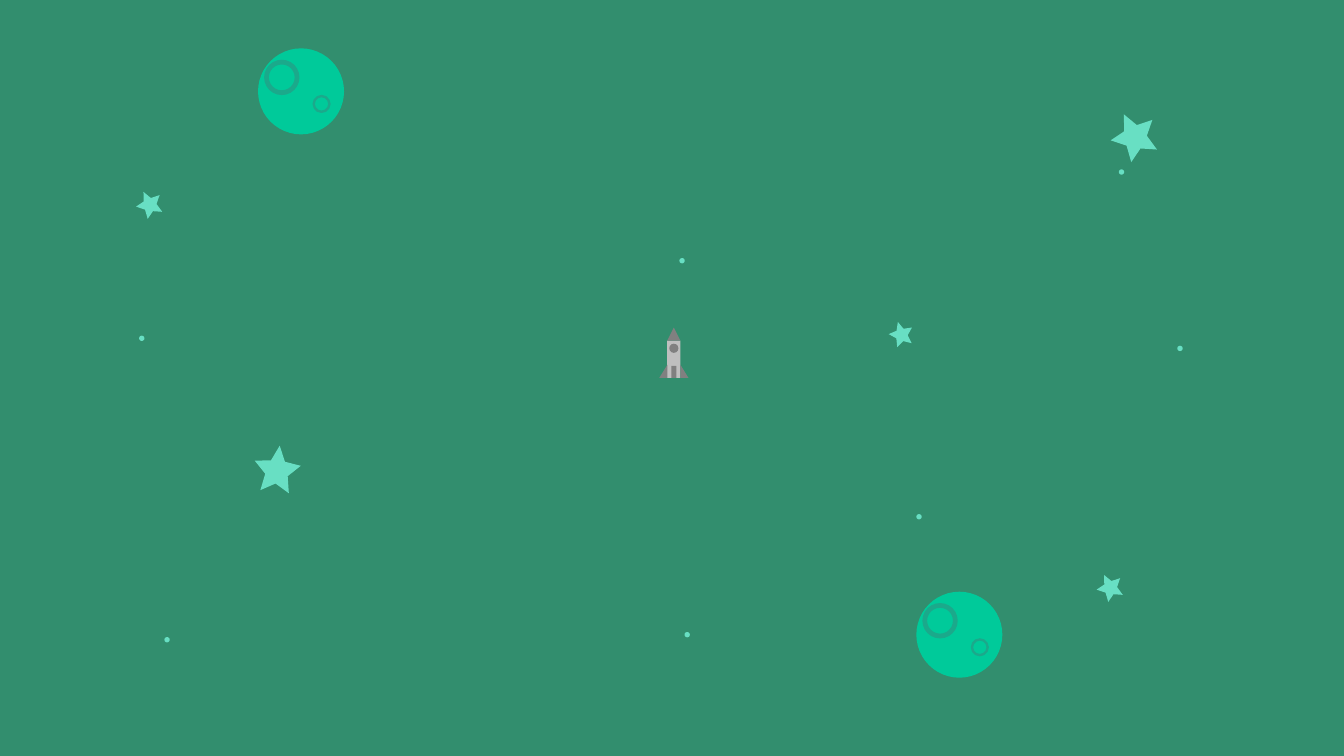
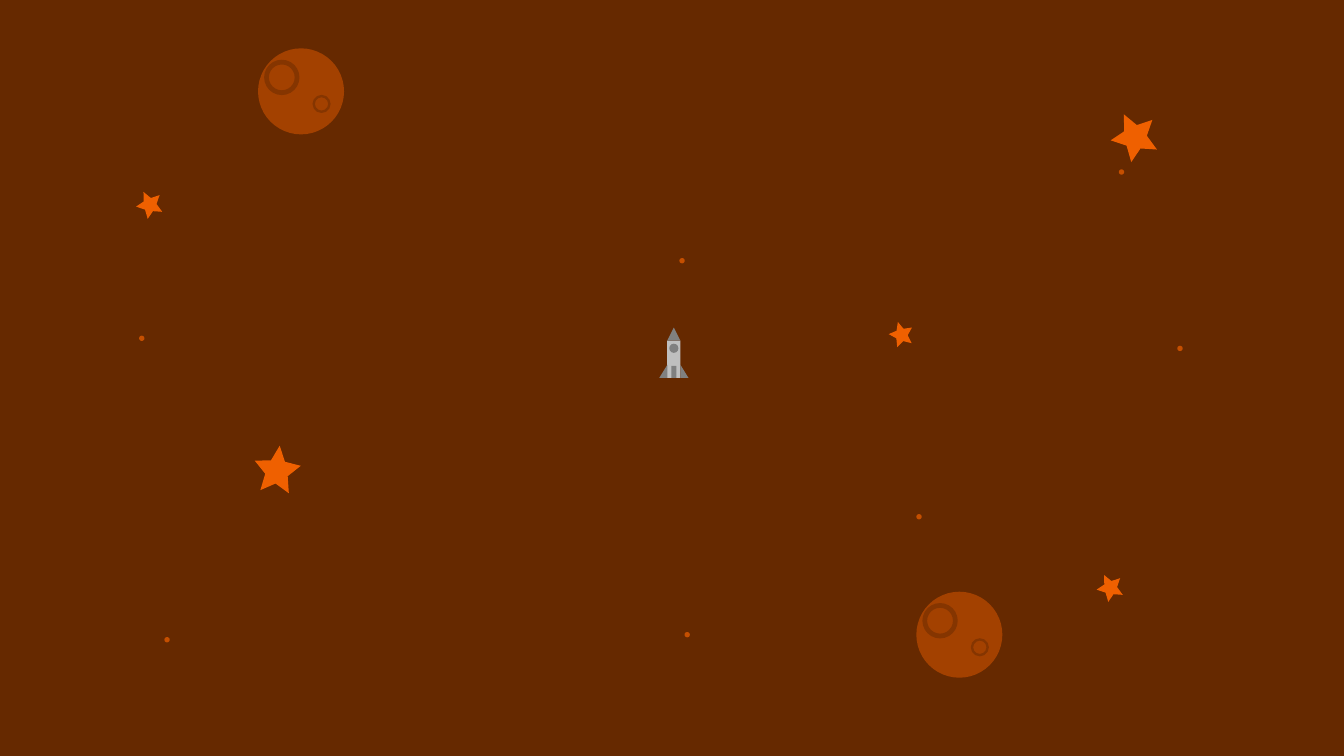
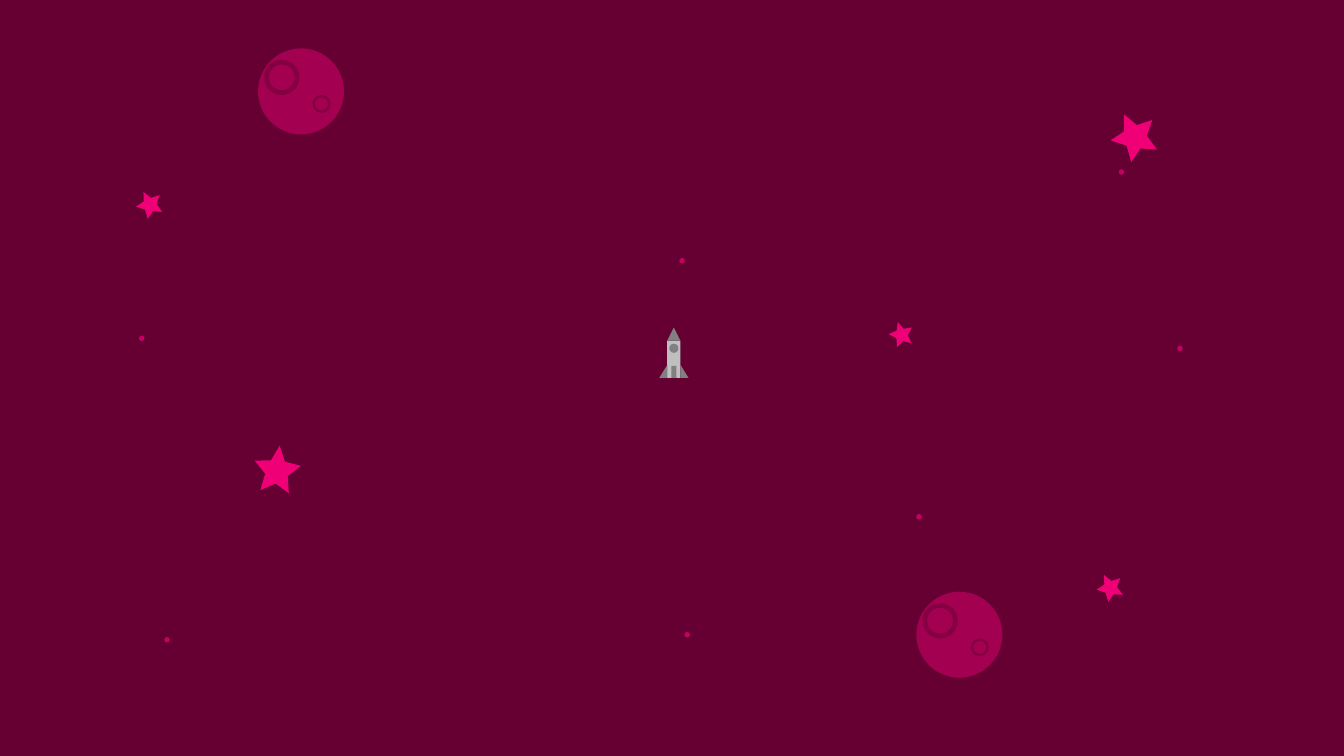
"""Three colour variants of a night sky with moons, stars and a rocket."""
from pptx import Presentation
from pptx.dml.color import RGBColor
from pptx.enum.shapes import MSO_SHAPE as SHAPE
from pptx.util import Inches

WIDTH, HEIGHT = Inches(13.333), Inches(7.5)
HULL = RGBColor(0xBF, 0xBF, 0xBF)
TRIM = RGBColor(0x80, 0x80, 0x80)

GREEN_SKY = RGBColor(0x32, 0x8E, 0x6E)
GREEN_MOON = RGBColor(0x00, 0xCA, 0x9A)
GREEN_CRATER = RGBColor(0x1B, 0xA9, 0x8B)
GREEN_LIGHT = RGBColor(0x68, 0xDF, 0xC3)

ORANGE_SKY = RGBColor(0x66, 0x29, 0x00)
ORANGE_MOON = RGBColor(0xA3, 0x41, 0x00)
ORANGE_CRATER = RGBColor(0x85, 0x35, 0x00)
ORANGE_DOT = RGBColor(0xC5, 0x4F, 0x00)
ORANGE_STAR = RGBColor(0xEF, 0x60, 0x00)

PINK_SKY = RGBColor(0x66, 0x00, 0x33)
PINK_MOON = RGBColor(0xA3, 0x00, 0x52)
PINK_CRATER = RGBColor(0x85, 0x00, 0x42)
PINK_DOT = RGBColor(0xC5, 0x00, 0x63)
PINK_STAR = RGBColor(0xEF, 0x00, 0x77)

THEMES = [
    (GREEN_SKY, GREEN_MOON, GREEN_CRATER, GREEN_LIGHT, GREEN_LIGHT),
    (ORANGE_SKY, ORANGE_MOON, ORANGE_CRATER, ORANGE_DOT, ORANGE_STAR),
    (PINK_SKY, PINK_MOON, PINK_CRATER, PINK_DOT, PINK_STAR),
]

MOON_SIZE, DOT_SIZE = 6.4, 0.4
MOONS = [(19.2, 6.4), (68.18, 78.27)]
CRATERS = [(0.45, 1.5, 2.63), (4.05, 6.15, 1.35)]
DOTS = [(50.55, 34.13), (68.18, 68), (12.23, 84.27), (83.25, 22.4),
        (10.35, 44.4), (50.93, 83.6), (87.6, 45.73)]
STARS = [(66.15, 42.53, 1.8, 344.2), (18.9, 58.93, 3.45, 6.3),
         (82.65, 14.8, 3.45, 333.9), (81.6, 75.87, 1.95, 333.9),
         (10.13, 25.2, 1.95, 333.9)]
ROCKET_TRIM = [
    (SHAPE.ISOSCELES_TRIANGLE, 49.65, 43.33, 0.98, 1.73, 0.5),
    (SHAPE.ISOSCELES_TRIANGLE, 49.05, 48.27, 0.6, 1.73, 1),
    (SHAPE.OVAL, 49.8, 45.47, 0.68, None, None),
    (SHAPE.RECTANGLE, 49.95, 48.4, 0.38, 1.6, None),
    (SHAPE.ISOSCELES_TRIANGLE, 50.63, 48.27, 0.6, 1.73, 0),
]


def draw(shapes, kind, left, top, width, height, color, adjust=None):
    """Draw a flat shape placed in percent of the slide; no height means square."""
    across = round(WIDTH * width / 100)
    down = across if height is None else round(HEIGHT * height / 100)
    figure = shapes.add_shape(kind, round(WIDTH * left / 100),
                              round(HEIGHT * top / 100), across, down)
    figure.shadow.inherit = False
    figure.fill.solid()
    figure.fill.fore_color.rgb = color
    figure.line.fill.background()
    if adjust is not None:
        figure.adjustments[0] = adjust
    return figure


prs = Presentation()
prs.slide_width, prs.slide_height = WIDTH, HEIGHT

for sky, moon, crater, dot, star in THEMES:
    scene = prs.slides.add_slide(prs.slide_layouts[6]).shapes
    draw(scene, SHAPE.RECTANGLE, 0, 0, 100, 100, sky)

    moons = scene.add_group_shape().shapes
    for left, top in MOONS:
        draw(moons, SHAPE.OVAL, left, top, MOON_SIZE, None, moon)

    draw(scene, SHAPE.RECTANGLE, 49.65, 45.07, 0.98, 4.93, HULL)

    dots = scene.add_group_shape().shapes
    for left, top in DOTS:
        draw(dots, SHAPE.OVAL, left, top, DOT_SIZE, None, dot)

    stars = scene.add_group_shape().shapes
    for left, top, size, angle in STARS:
        draw(stars, SHAPE.STAR_5_POINT, left, top, size, None, star, 0.244).rotation = angle

    craters = scene.add_group_shape().shapes
    for left, top in MOONS:
        for right_by, down_by, size in CRATERS:
            draw(craters, SHAPE.DONUT, left + right_by, top + down_by, size, None, crater, 0.135)

    rocket = scene.add_group_shape().shapes
    for kind, left, top, width, height, apex in ROCKET_TRIM:
        draw(rocket, kind, left, top, width, height, TRIM, apex)

prs.save("out.pptx")
